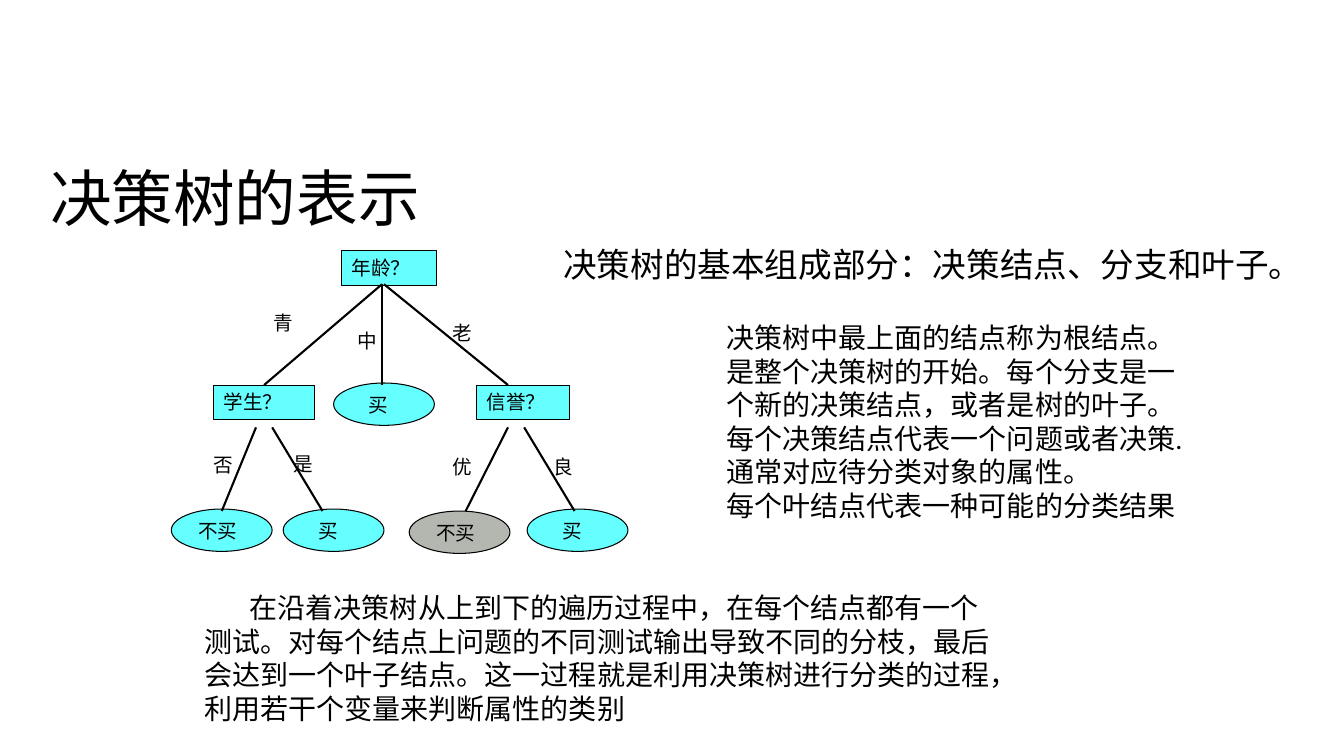
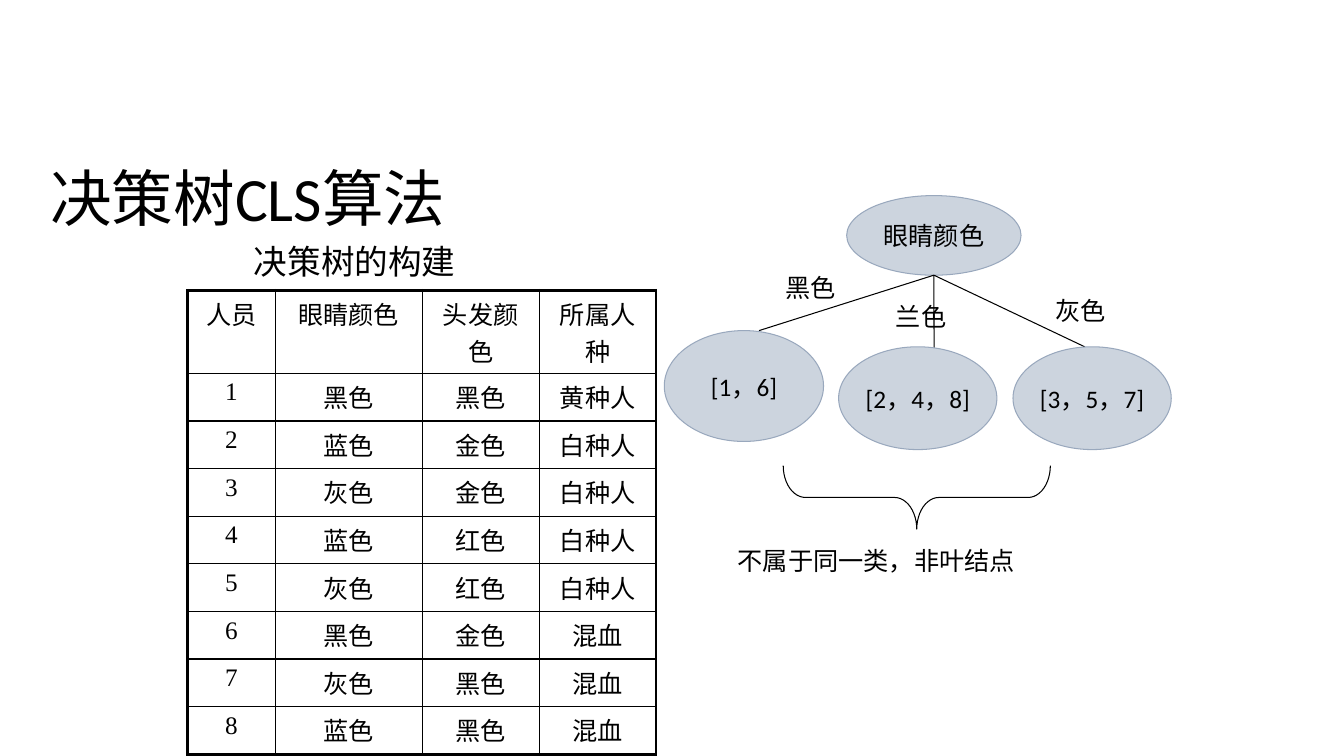
from lxml import etree
from pptx import Presentation
from pptx.dml.color import RGBColor
from pptx.enum.shapes import MSO_CONNECTOR, MSO_SHAPE
from pptx.enum.text import MSO_ANCHOR, MSO_AUTO_SIZE, PP_ALIGN
from pptx.oxml.ns import qn
from pptx.util import Inches, Pt

RECTANGLE, ELLIPSE, BRACE = MSO_SHAPE.RECTANGLE, MSO_SHAPE.OVAL, MSO_SHAPE.LEFT_BRACE
STRAIGHT = MSO_CONNECTOR.STRAIGHT
TOP, MIDDLE = MSO_ANCHOR.TOP, MSO_ANCHOR.MIDDLE
LEFT, CENTER = PP_ALIGN.LEFT, PP_ALIGN.CENTER
FIT_SHAPE = MSO_AUTO_SIZE.SHAPE_TO_FIT_TEXT
TOP_SIDE = 0

COLUMNS, ROWS = 40, 30
COLUMN, ROW = Inches(1) / 3, Inches(0.25)
COLORS = {
    "text": "000000",
    "node": "66FFFF",
    "muted": "B4B6B0",
    "set": "CCD4DE",
    "set_line": "99A8BD",
}
BODY_FONT, TABLE_FONT = "Calibri", "Times New Roman"

TITLE_AREA = (1.2, 5.08, 34.5, 5.8)
LEAF_SIZE = (3, 1.68)
SMALL_LABEL, LARGE_LABEL = (1.2, 1.32), (2.13, 1.6)

QUESTIONS = [
    ("年龄？", (10.17, 9.96, 2.82, 1.36)),
    ("学生？", (6.36, 15.28, 3, 1.36)),
    ("信誉？", (14.19, 15.28, 2.76, 1.36)),
]
LEAVES = [
    ("买", 9.93, 15.2, "node"),
    ("不买", 5.1, 20.2, "node"),
    ("买", 15.69, 20.2, "node"),
    ("买", 8.43, 20.2, "node"),
    ("不买", 12.18, 20.28, "muted"),
]
LEAF_INSETS = {"买": 0.2, "不买": 0.12}
UPPER_LEVEL, LOWER_LEVEL = (11.28, 15.28), (16.96, 20.28)
BRANCHES = [
    ("青", 11.37, 7.86, UPPER_LEVEL, (7.86, 12.16)),
    ("中", 11.37, 11.37, UPPER_LEVEL, (10.35, 12.84)),
    ("老", 11.43, 15.12, UPPER_LEVEL, (13.17, 12.52)),
    ("否", 7.62, 6.6, LOWER_LEVEL, (6.06, 17.76)),
    ("是", 8.1, 9.6, LOWER_LEVEL, (8.43, 17.72)),
    ("优", 15.12, 13.86, LOWER_LEVEL, (13.17, 17.84)),
    ("良", 15.6, 17.1, LOWER_LEVEL, (16.17, 17.84)),
]
NODE_NOTES = [
    "决策树中最上面的结点称为根结点。",
    "是整个决策树的开始。每个分支是一",
    "个新的决策结点，或者是树的叶子。",
    "每个决策结点代表一个问题或者决策.",
    "通常对应待分类对象的属性。",
    "每个叶结点代表一种可能的分类结果",
]
TRAVERSAL_NOTES = [
    "在沿着决策树从上到下的遍历过程中，在每个结点都有一个",
    "测试。对每个结点上问题的不同测试输出导致不同的分枝，最后",
    "会达到一个叶子结点。这一过程就是利用决策树进行分类的过程，",
    "利用若干个变量来判断属性的类别",
]

PEOPLE = [
    ("人员", "眼睛颜色", "头发颜色", "所属人种"),
    ("1", "黑色", "黑色", "黄种人"),
    ("2", "蓝色", "金色", "白种人"),
    ("3", "灰色", "金色", "白种人"),
    ("4", "蓝色", "红色", "白种人"),
    ("5", "灰色", "红色", "白种人"),
    ("6", "黑色", "金色", "混血"),
    ("7", "灰色", "黑色", "混血"),
    ("8", "蓝色", "黑色", "混血"),
]
PEOPLE_AREA = (5.58, 11.52, 13.95, 18.04)
PEOPLE_COLUMNS = (2.61, 4.38, 3.48, 3.48)
PEOPLE_ROW = 1.89

EYE_ROOT = (25.2, 7.76, 5.19, 3.16)
EYE_SETS = [
    ("[1，6]", (19.77, 13.12, 4.74, 4.4)),
    ("[2，4，8]", (24.96, 13.76, 4.71, 4.08)),
    ("[3，5，7]", (30.15, 13.76, 4.71, 4.08)),
]
EYE_BRANCHES = [
    ("黑色", (22.59, 13.12), (23.07, 10.6)),
    ("兰色", (27.8, 13.84), (26.37, 11.76)),
    ("灰色", (32.28, 13.76), (31.11, 11.52)),
]


def place(*lengths):
    return [round(length * (ROW if index % 2 else COLUMN)) for index, length in enumerate(lengths)]


def color(name):
    return RGBColor.from_string(COLORS[name])


def apply_format(target, values):
    for name, value in values.items():
        setattr(target, name, value)


def write_text(frame, lines, size, font=BODY_FONT, align=LEFT, spacing=None, **frame_format):
    frame.text = "\n".join(lines)
    apply_format(frame, frame_format)
    for paragraph in frame.paragraphs:
        apply_format(paragraph, {"alignment": align, "line_spacing": spacing})
        for run in paragraph.runs:
            apply_format(run.font, {"name": font, "size": Pt(size)})
            run.font.color.rgb = color("text")


def add_text(slide, lines, area, size, **text_format):
    box = slide.shapes.add_textbox(*place(*area))
    options = {"word_wrap": False, "auto_size": FIT_SHAPE, "vertical_anchor": TOP}
    write_text(box.text_frame, lines, size, **{**options, **text_format})
    return box


def add_outline(slide, kind, area, line="text"):
    shape = slide.shapes.add_shape(kind, *place(*area))
    shape.shadow.inherit = False
    shape.fill.background()
    shape.line.color.rgb = color(line)
    shape.line.width = Pt(0.75)
    return shape


def add_node(slide, kind, area, text, size, fill, line="text", **text_format):
    shape = add_outline(slide, kind, area, line)
    shape.fill.solid()
    shape.fill.fore_color.rgb = color(fill)
    write_text(shape.text_frame, [text], size, **text_format)
    return shape


def add_set(slide, area, text):
    add_node(slide, ELLIPSE, area, text, 18, "set", "set_line",
             align=CENTER, vertical_anchor=MIDDLE, word_wrap=False)


def add_line(slide, start, end, width):
    connector = slide.shapes.add_connector(STRAIGHT, *place(*start, *end))
    connector.line.color.rgb = color("text")
    connector.line.width = Pt(width)
    etree.SubElement(connector._element.spPr, qn("a:effectLst"))
    return connector


def set_borders(cell, widths):
    properties = cell._tc.get_or_add_tcPr()
    for index, (side, width) in enumerate(widths.items()):
        border = etree.Element(qn(f"a:ln{side}"), w=str(Pt(width)))
        fill = etree.SubElement(border, qn("a:solidFill"))
        etree.SubElement(fill, qn("a:srgbClr"), val=COLORS["text"])
        properties.insert(index, border)


def add_table(slide, records, area, columns, row_height):
    row_count, column_count = len(records), len(columns)
    frame = slide.shapes.add_table(row_count, column_count, *place(*area))
    table = frame.table
    apply_format(table, {"first_row": False, "horz_banding": False})
    for column, width in zip(table.columns, columns):
        column.width = round(width * COLUMN)
    for row in table.rows:
        row.height = round(row_height * ROW)
    for row_index, record in enumerate(records):
        for column_index, value in enumerate(record):
            cell = table.cell(row_index, column_index)
            cell.fill.background()
            write_text(cell.text_frame, [value], 18, TABLE_FONT, CENTER)
            outer = {
                "L": column_index == 0,
                "R": column_index == column_count - 1,
                "T": row_index == 0,
                "B": row_index == row_count - 1,
            }
            set_borders(cell, {side: 2.25 if edge else 1 for side, edge in outer.items()})
    frame.height = round(area[3] * ROW)


def add_slide(presentation, title):
    slide = presentation.slides.add_slide(presentation.slide_layouts[6])
    add_text(slide, [title], TITLE_AREA, 44, spacing=0.9, word_wrap=True,
             auto_size=MSO_AUTO_SIZE.NONE, vertical_anchor=MIDDLE)
    return slide


def build_representation(presentation):
    slide = add_slide(presentation, "决策树的表示")
    add_text(slide, ["决策树的基本组成部分：决策结点、分支和叶子。"], (16.47, 9.48, 22.59, 2), 24)
    questions = {
        text: add_node(slide, RECTANGLE, area, text, 14, "node", vertical_anchor=TOP)
        for text, area in QUESTIONS
    }
    for text, left, top, fill in LEAVES:
        add_node(slide, ELLIPSE, (left, top, *LEAF_SIZE), text, 14, fill,
                 vertical_anchor=MIDDLE, margin_left=Inches(LEAF_INSETS[text]),
                 margin_right=0, margin_top=0, margin_bottom=0)
    connectors = {}
    for text, start, end, (top, bottom), label in BRANCHES:
        connectors[text] = add_line(slide, (start, top), (end, bottom), 1.5)
        add_text(slide, [text], (*label, *SMALL_LABEL), 14)
    connectors["青"].end_connect(questions["学生？"], TOP_SIDE)
    add_text(slide, NODE_NOTES, (21.33, 12.52, 14.28, 8.48), 20)
    traversal = add_text(slide, TRAVERSAL_NOTES, (5.79, 23.24, 25.02, 5.8), 20)
    first = traversal.text_frame.paragraphs[0]
    first._p.get_or_add_pPr().set("indent", str(Inches(0.45)))


def build_cls(presentation):
    slide = add_slide(presentation, "决策树CLS算法")
    add_table(slide, PEOPLE, PEOPLE_AREA, PEOPLE_COLUMNS, PEOPLE_ROW)
    add_text(slide, ["决策树的构建"], (7.26, 9.36, 6.66, 2), 24)
    left, top, width, height = EYE_ROOT
    add_set(slide, EYE_ROOT, "眼睛颜色")
    for text, end, label in EYE_BRANCHES:
        add_line(slide, (left + width / 2, top + height), end, 0.75)
        add_text(slide, [text], (*label, *LARGE_LABEL), 18)
    for text, area in EYE_SETS:
        add_set(slide, area, text)
    brace = add_outline(slide, BRACE, (26.34, 14.44, 1.89, 10.6))
    brace.rotation = 270
    brace.adjustments[0] = 0.35
    add_text(slide, ["不属于同一类，非叶结点"], (21.66, 21.44, 8.94, 1.6), 18)


def main():
    presentation = Presentation()
    width, height = place(COLUMNS, ROWS)
    apply_format(presentation, {"slide_width": width, "slide_height": height})
    build_representation(presentation)
    build_cls(presentation)
    presentation.save("out.pptx")


if __name__ == "__main__":
    main()
